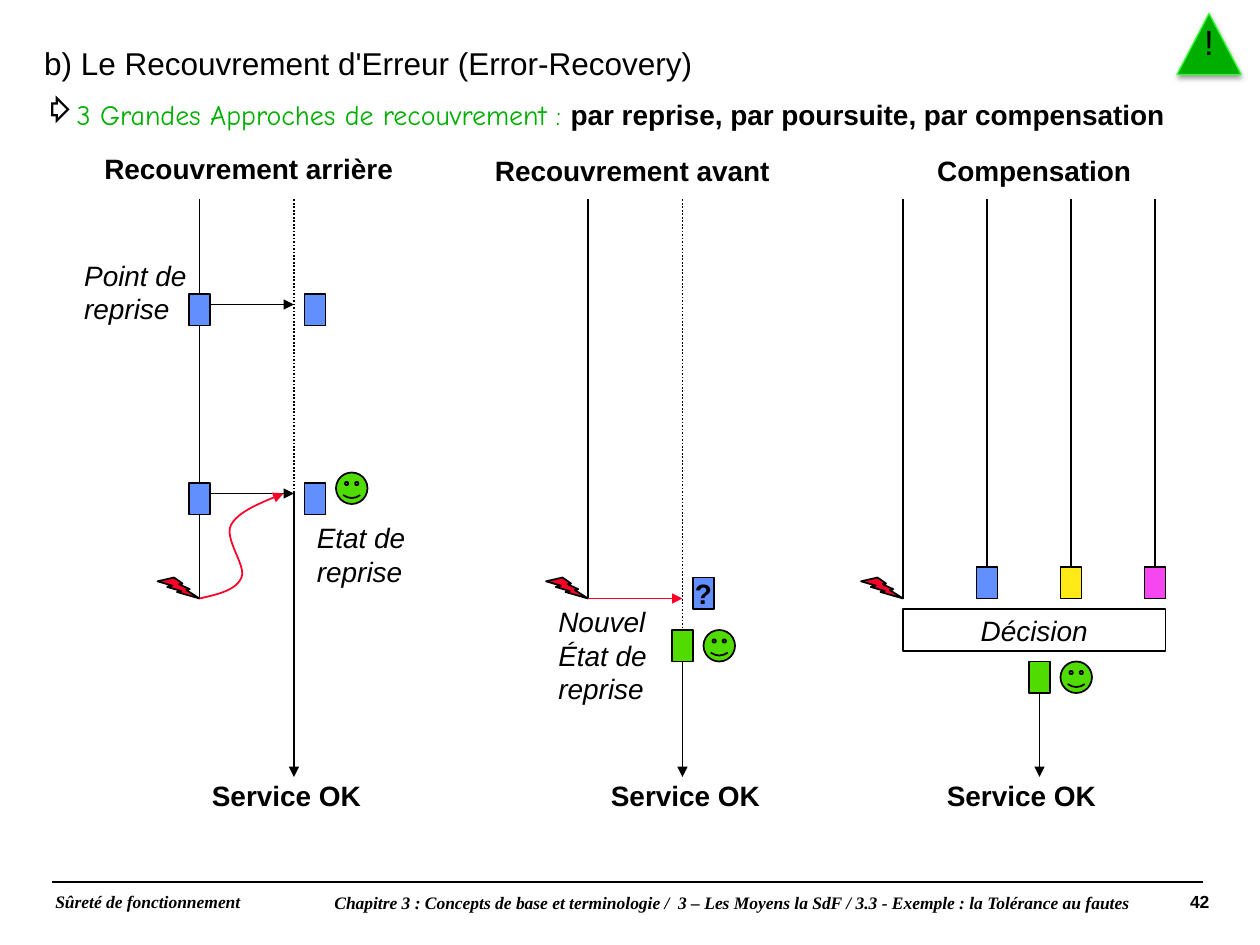
from dataclasses import dataclass

from lxml import etree
from pptx import Presentation
from pptx import util as u
from pptx.dml.color import RGBColor
from pptx.enum import dml, shapes, text
from pptx.oxml.ns import qn

CELL = u.Inches(1) // 12  # the slide is a grid of 120 columns by 90 rows
TOP, FAULT, END = 19, 57, 74  # rows: start of a lane, fault, end of service
SHAPE = shapes.MSO_SHAPE


@dataclass(frozen=True)
class Theme:
    ink: str = "000000"
    red: str = "FC0128"
    blue: str = "618FFD"
    yellow: str = "FFEA18"
    pink: str = "F547EF"
    ok: str = "51DC00"
    green: str = "00AE00"
    rim: str = "2BFF2B"
    sans: str = "Arial"
    hand: str = "Comic Neue"
    serif: str = "Times New Roman"
    title: float = 18
    body: float = 16
    foot: float = 10
    sign: float = 20


T = Theme()


def cells(*values):
    return [round(v * CELL) for v in values]


def put(obj, **fmt):
    for name, value in fmt.items():
        setattr(obj, name, value)


def sub(parent, tag, **attrs):
    el = etree.SubElement(parent, qn(tag))
    for name, value in attrs.items():
        el.set(name, str(value))
    return el


# Text
def add_run(p, words, size=T.body, font=T.sans, color=T.ink, **fmt):
    r = p.add_run()
    r.text = words
    put(r.font, size=u.Pt(size), name=font, **fmt)
    r.font.color.rgb = RGBColor.from_string(color)


def frame(sp, inset=0.0, **fmt):
    tf = sp.text_frame
    sides = ("left", "top", "right", "bottom")
    put(tf, **{f"margin_{side}": u.Inches(inset) for side in sides}, **fmt)
    return tf


def label(sh, x, y, w, *lines, **fmt):
    sp = sh.add_textbox(*cells(x, y, w, 1.2 + 3.2 * len(lines)))
    tf = sp.text_frame
    tf.word_wrap = False
    for i, words in enumerate(lines):
        add_run(tf.add_paragraph() if i else tf.paragraphs[0], words, **fmt)


def centred(sp, words, **fmt):
    tf = frame(sp, word_wrap=False, vertical_anchor=text.MSO_ANCHOR.MIDDLE)
    p = tf.paragraphs[0]
    p.alignment = text.PP_ALIGN.CENTER
    add_run(p, words, **fmt)


# Lines and shapes
def stroke(sp, color=T.ink, width=1.0, arrow=False):
    sp.line.color.rgb = RGBColor.from_string(color)
    sp.line.width = u.Pt(width)
    if arrow:
        sub(sp.line._get_or_add_ln(), "a:tailEnd", type="triangle")


def line(sh, x1, y1, x2, y2, color=T.ink, arrow=False, dotted=False):
    c = sh.add_connector(shapes.MSO_CONNECTOR.STRAIGHT, *cells(x1, y1, x2, y2))
    stroke(c, color)
    if dotted:
        c.line.dash_style = dml.MSO_LINE.ROUND_DOT
    if arrow:
        stroke(c, color, arrow=True)
    sub(c._element.spPr, "a:effectLst")


def block(sh, kind, x, y, w, h, fill=None, rim=T.ink, width=1.0):
    sp = sh.add_shape(kind, *cells(x, y, w, h))
    sp.shadow.inherit = False
    if fill:
        sp.fill.solid()
        sp.fill.fore_color.rgb = RGBColor.from_string(fill)
    else:
        sp.fill.background()
    stroke(sp, rim, width)
    return sp


def state(sh, x, y, color=T.blue):
    return block(sh, SHAPE.RECTANGLE, x, y, 2, 3, color)


def smiley(sh, x, y):
    block(sh, SHAPE.SMILEY_FACE, x, y, 3, 3, T.ok).adjustments[0] = 0.047


def bolt(sh, lane):
    block(sh, SHAPE.LIGHTNING_BOLT, lane - 4, FAULT - 2, 4, 2, T.red)


def service(sh, lane, y, label_x):
    line(sh, lane, y, lane, END, arrow=True)
    label(sh, label_x, END - 0.4, 16.7, "Service OK", bold=True)


def curve(sh, start, *beziers, steps=12):
    points, a = [], start
    for b, c, d in beziers:
        for k in range(1, steps + 1):
            t = k / steps
            weights = ((1 - t) ** 3, 3 * t * (1 - t) ** 2, 3 * t * t * (1 - t), t ** 3)
            points.append(cells(*(sum(w * q[i] for w, q in zip(weights, (a, b, c, d)))
                                  for i in (0, 1))))
        a = d
    fb = sh.build_freeform(*cells(*start))
    fb.add_line_segments(points, close=False)
    sp = fb.convert_to_shape()
    sp.shadow.inherit = False
    sp.fill.background()
    stroke(sp, T.red, arrow=True)


# Parts of the slide
def footer(sh):
    sp = sh.add_textbox(*cells(4.08, 83.88, 114.1, 3.7))
    tf = sp.text_frame
    tf.word_wrap = True
    p = tf.paragraphs[0]
    p.line_spacing = 0.9
    sub(sub(p._p.get_or_add_pPr(), "a:tabLst"), "a:tab", pos=u.Inches(9.16), algn="r")
    add_run(p, "Sûreté de fonctionnement", T.foot, T.serif, bold=True, italic=True)
    add_run(p, "\t", 14, bold=True)
    add_run(p, "42", T.foot, bold=True)
    line(sh, 4.92, 84, 114.6, 84)
    sp = sh.add_textbox(*cells(30.84, 84.48, 77.16, 3))
    p = frame(sp, 0.04, word_wrap=False).paragraphs[0]
    p.alignment = text.PP_ALIGN.RIGHT
    add_run(p, "Chapitre 3 : Concepts de base et terminologie /  3 – Les Moyens la SdF"
               " / 3.3 - Exemple : la Tolérance au fautes",
            T.foot, T.serif, bold=True, italic=True)


def heading(sh):
    sp = sh.add_textbox(*cells(3.72, 3.72, 114.1, 9.5))
    tf = frame(sp, 0.04, word_wrap=True)
    title, point = tf.paragraphs[0], tf.add_paragraph()
    put(title, space_before=u.Pt(2), space_after=u.Pt(2))
    put(point, space_before=u.Pt(7))
    for p in (title, point):
        put(p._p.get_or_add_pPr(), marL=u.Inches(0.42), indent=-u.Inches(0.21))
    pPr = point._p.get_or_add_pPr()
    sub(sub(pPr, "a:buClr"), "a:srgbClr", val=T.ink)
    sub(pPr, "a:buChar", char="⇨")
    add_run(title, "b) Le Recouvrement d'Erreur (Error-Recovery)", T.title)
    add_run(point, "3 Grandes Approches de recouvrement : ", font=T.hand, color=T.green)
    add_run(point, "par reprise, par poursuite, par compensation", bold=True)
    label(sh, 8.76, 13.8, 30, "Recouvrement arrière", bold=True)
    label(sh, 45.96, 14.04, 28.7, "Recouvrement avant", bold=True)
    label(sh, 88.08, 14.04, 20.9, "Compensation", bold=True)


def compensation(sh):
    bolt(sh, 86)
    lanes = [86, 94, 102, 110]
    for lane in lanes:
        line(sh, lane, TOP, lane, FAULT)
    for lane, color in zip(lanes[1:], (T.blue, T.yellow, T.pink)):
        state(sh, lane - 1, 54, color)
    service(sh, 99, 64, 89)
    state(sh, 98, 63, T.ok)
    smiley(sh, 101, 63)
    centred(block(sh, SHAPE.RECTANGLE, 86, 58, 25, 4), "Décision", italic=True)


def backward(sh):
    line(sh, 19, TOP, 19, FAULT)
    line(sh, 28, TOP, 28, 47, dotted=True)
    for y in (28, 46):
        state(sh, 18, y)
        state(sh, 29, y)
        line(sh, 20, y + 1, 28, y + 1, arrow=True)
    bolt(sh, 19)
    smiley(sh, 32, 45)
    service(sh, 28, 47, 19)
    curve(sh, (19, 57), ((20.8, 56.6), (22.5, 56.2), (23, 55)),
          ((23.5, 53.9), (21.3, 51.3), (22, 50)), ((22.7, 48.7), (24.8, 47.9), (27, 47)))
    label(sh, 6.84, 24, 12.2, "Point de", "reprise", italic=True)
    label(sh, 29, 49, 10.9, "Etat de", "reprise", italic=True)


def forward(sh):
    line(sh, 56, TOP, 56, FAULT)
    bolt(sh, 56)
    line(sh, 65, TOP, 65, 61, dotted=True)
    service(sh, 65, 61, 57)
    line(sh, 56, FAULT, 65, FAULT, T.red, arrow=True)
    centred(state(sh, 66, 55), "?", bold=True)
    state(sh, 64, 60, T.ok)
    smiley(sh, 67, 60)
    label(sh, 52, FAULT, 10.8, "Nouvel", "État de", "reprise", italic=True)


def warning(sh):
    box = (112.1, 1.3, 6.1, 5.8)
    sp = block(sh, SHAPE.TRAPEZOID, *box, T.green, T.rim, 0.75)
    sp.adjustments[0] = 0.533
    effects = sp._element.spPr.find(qn("a:effectLst"))
    shadow = sub(effects, "a:outerShdw", blurRad=u.Pt(3.1), dist=u.Pt(1.6), dir=5400000)
    sub(sub(shadow, "a:srgbClr", val=T.ink), "a:alpha", val=38000)
    sp = sh.add_textbox(*cells(*box))
    centred(sp, "!", size=T.sign)
    put(sp.text_frame.paragraphs[0], line_spacing=0.9, space_after=u.Pt(7))


def main():
    prs = Presentation()
    put(prs, slide_width=120 * CELL, slide_height=90 * CELL)
    sh = prs.slides.add_slide(prs.slide_layouts[6]).shapes
    footer(sh)
    heading(sh)
    for part in (compensation, backward, forward, warning):
        part(sh.add_group_shape().shapes)
    prs.save("out.pptx")


if __name__ == "__main__":
    main()
